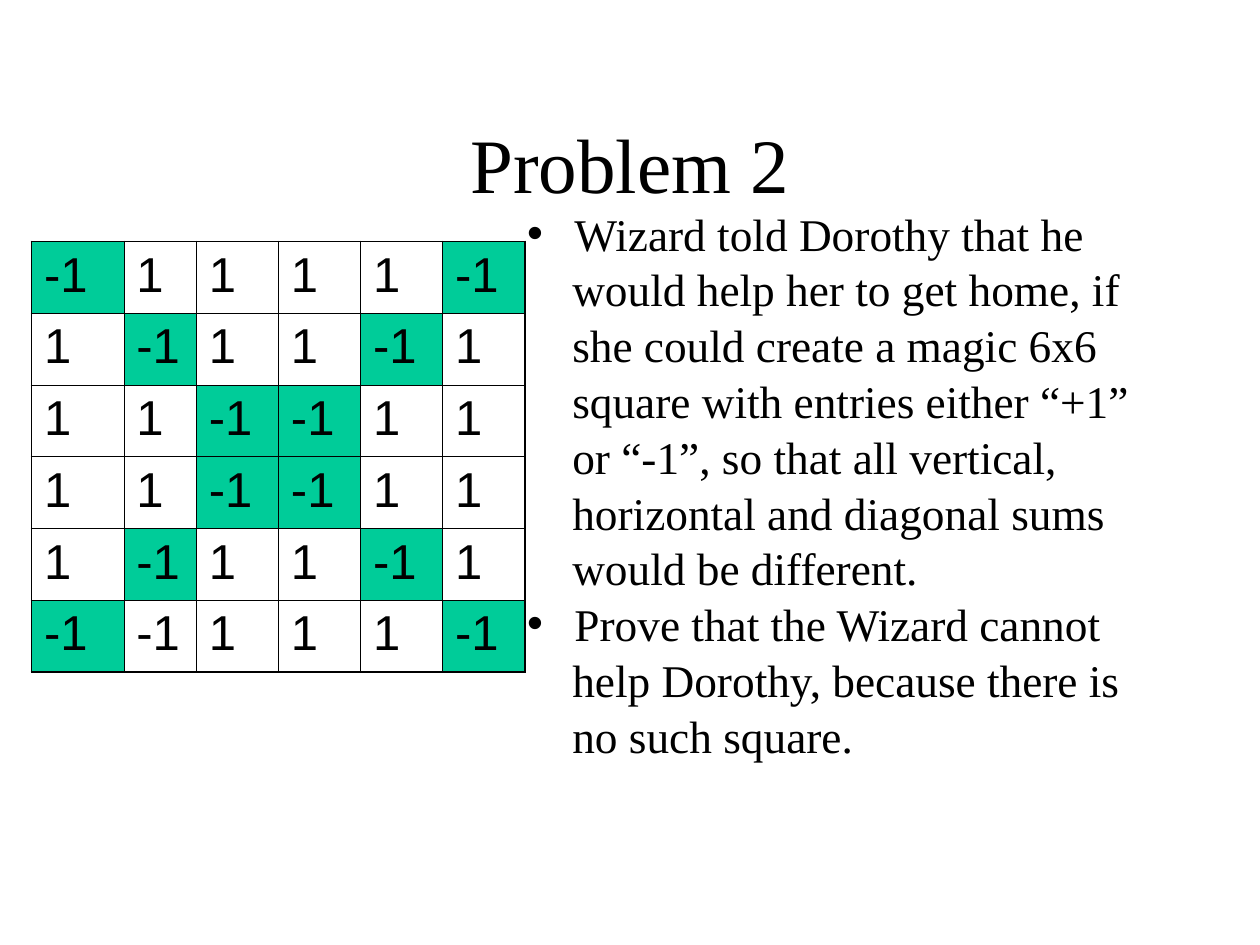
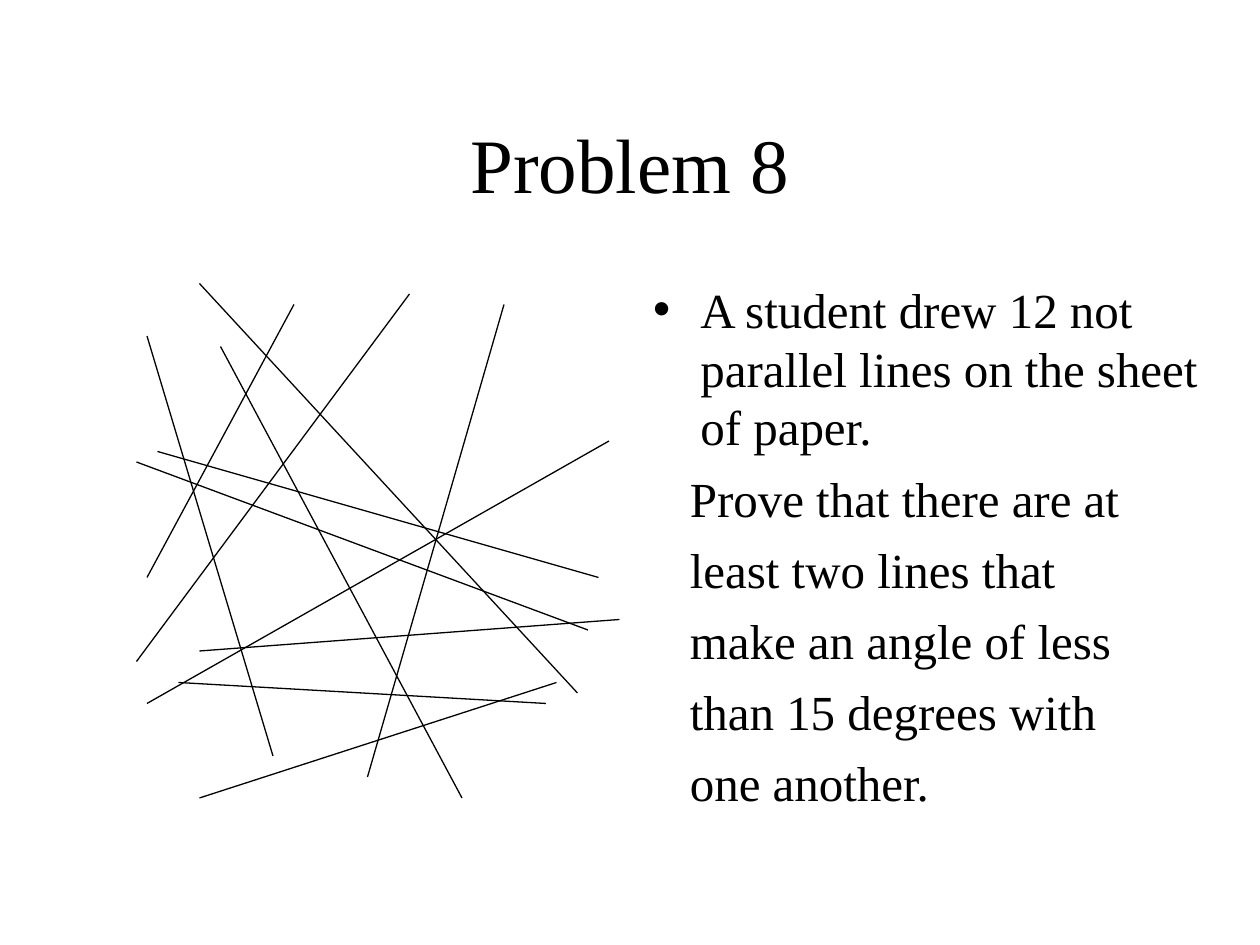
import dataclasses

import pptx
import pptx.dml.color
import pptx.enum.shapes
import pptx.enum.text
import pptx.oxml
import pptx.oxml.ns
import pptx.oxml.xmlchemy
import pptx.util
from lxml import etree

COLS, ROWS = 120, 90  # grid of the slide, in cells of 1/12 inch
qn = pptx.oxml.ns.qn


@dataclasses.dataclass(frozen=True)
class Theme:
    ink: str = "000000"
    paper: str = "FFFFFF"
    accent: str = "00CC99"
    serif: str = "Times New Roman"
    sans: str = "Arial"
    title: float = 44
    text: float = 28
    small: float = 25.9
    gap: float = 7
    hang: float = 4.5  # grid columns
    thin: float = 0.45
    thick: float = 1.08
    stroke: float = 0.75


class Deck:
    def __init__(self, theme):
        self.t = theme
        self.prs = pptx.Presentation()
        self.prs.slide_width = pptx.util.Inches(10)
        self.prs.slide_height = pptx.util.Inches(7.5)
        self.s = None

    def x(self, cols):
        return round(self.prs.slide_width * cols / COLS)

    def y(self, rows):
        return round(self.prs.slide_height * rows / ROWS)

    def color(self, value):
        return pptx.dml.color.RGBColor.from_string(value)

    def place(self, sp, left, top, width, height):
        sp.left, sp.top = self.x(left), self.y(top)
        sp.width, sp.height = self.x(width), self.y(height)

    def run(self, p, text, size, font):
        r = p.add_run()
        r.text = text
        r.font.size = pptx.util.Pt(size)
        r.font.name = font
        r.font.color.rgb = self.color(self.t.ink)

    def slide(self, title):
        self.s = self.prs.slides.add_slide(self.prs.slide_layouts[1])
        fill = self.s.background.fill
        fill.solid()
        fill.fore_color.rgb = self.color(self.t.paper)
        sp = self.s.shapes.title
        self.place(sp, 9, 10.5, 102, 10)
        tf = sp.text_frame
        tf.auto_size = pptx.enum.text.MSO_AUTO_SIZE.NONE
        tf.vertical_anchor = pptx.enum.text.MSO_ANCHOR.MIDDLE
        p = tf.paragraphs[0]
        p.alignment = pptx.enum.text.PP_ALIGN.CENTER
        self.run(p, title, self.t.title, self.t.serif)

    def body(self, box, items, size, spacing, indent):
        """Each item is a bulleted line followed by plain indented lines."""
        sp = self.s.placeholders[1]
        self.place(sp, *box)
        tf = sp.text_frame
        tf.auto_size = pptx.enum.text.MSO_AUTO_SIZE.NONE
        tf.vertical_anchor = pptx.enum.text.MSO_ANCHOR.TOP
        p = None
        for item in items:
            for i, line in enumerate(item):
                p = tf.add_paragraph() if p else tf.paragraphs[0]
                p.line_spacing = spacing
                p.space_before = pptx.util.Pt(self.t.gap)
                self.bullet(p, i == 0, indent)
                self.run(p, line, size, self.t.serif)

    def bullet(self, p, shown, indent):
        pPr = p._p.get_or_add_pPr()
        margin = self.x(self.t.hang if shown else indent)
        pPr.set("marL", str(margin))
        pPr.set("indent", str(-margin if shown else 0))
        if shown:
            etree.SubElement(pPr, qn("a:buChar")).set("char", "•")
        else:
            etree.SubElement(pPr, qn("a:buNone"))

    def table(self, left, top, widths, height, values, marked):
        n = len(values)
        frame = self.s.shapes.add_table(n, len(widths), self.x(left), self.y(top),
                                        self.x(sum(widths)), self.y(height))
        tbl = frame.table
        tbl.first_row = tbl.horz_banding = False
        for col, width in zip(tbl.columns, widths):
            col.width = self.x(width)
        for i, row in enumerate(values):
            tbl.rows[i].height = self.y(height / n)
            for j, value in enumerate(row):
                cell = tbl.cell(i, j)
                self.run(cell.text_frame.paragraphs[0], str(value), self.t.text, self.t.sans)
                outer = {"L": j == 0, "R": j == len(row) - 1, "T": i == 0, "B": i == n - 1}
                self.borders(cell, outer)
                if marked(i, j):
                    cell.fill.solid()
                    cell.fill.fore_color.rgb = self.color(self.t.accent)
                else:
                    cell.fill.background()

    def borders(self, cell, outer):
        tcPr = cell._tc.get_or_add_tcPr()
        for side, is_outer in outer.items():
            ln = etree.SubElement(tcPr, qn(f"a:ln{side}"))
            ln.set("w", str(pptx.util.Pt(self.t.thick if is_outer else self.t.thin)))
            fill = etree.SubElement(ln, qn("a:solidFill"))
            etree.SubElement(fill, qn("a:srgbClr")).set("val", self.t.ink)

    def line(self, x1, y1, x2, y2):
        c = self.s.shapes.add_connector(pptx.enum.shapes.MSO_CONNECTOR.STRAIGHT,
                                        self.x(x1), self.y(y1), self.x(x2), self.y(y2))
        c.line.color.rgb = self.color(self.t.ink)
        c.line.width = pptx.util.Pt(self.t.stroke)
        etree.SubElement(c._element.spPr, qn("a:effectLst"))


def magic_square(d):
    d.slide("Problem 2")
    d.body((49, 20, 75, 54), [
        ["Wizard told Dorothy that he",
         "would help her to get home, if",
         "she could create a magic 6x6",
         "square with entries either “+1”",
         "or “-1”, so that all vertical,",
         "horizontal and diagonal sums",
         "would be different."],
        ["Prove that the Wizard cannot",
         "help Dorothy, because there is",
         "no such square."],
    ], d.t.small, 0.8, 4.3)

    # Both diagonals are marked and hold -1; one more -1 is in the last row
    n = 6

    def diagonal(i, j):
        return i == j or i + j == n - 1

    values = [[-1 if diagonal(i, j) else 1 for j in range(n)] for i in range(n)]
    values[5][1] = -1
    d.table(3, 23, [8.8, 6.9] + [7.82] * 4, 41, values, diagonal)


def crossing_lines(d):
    d.slide("Problem 8")
    d.body((61, 26, 56, 54), [
        ["A student drew 12 not parallel lines on the sheet of paper.",
         "Prove that there are at",
         "least two lines that",
         "make an angle of less",
         "than 15 degrees with",
         "one another."],
    ], d.t.text, 1.0, 3.5)

    # Ends of the twelve lines, in grid cells
    for ends in [(21, 33, 44, 76), (28, 29, 14, 55), (13, 44, 56, 60),
                 (48, 29, 35, 74), (19, 62, 59, 59), (13, 63, 39, 28),
                 (15, 43, 57, 55), (17, 65, 52, 67), (19, 76, 53, 65),
                 (14, 67, 58, 42), (14, 32, 26, 72), (19, 27, 55, 66)]:
        d.line(*ends)


def main():
    d = Deck(Theme())
    magic_square(d)
    crossing_lines(d)
    d.prs.save("out.pptx")


if __name__ == "__main__":
    main()
